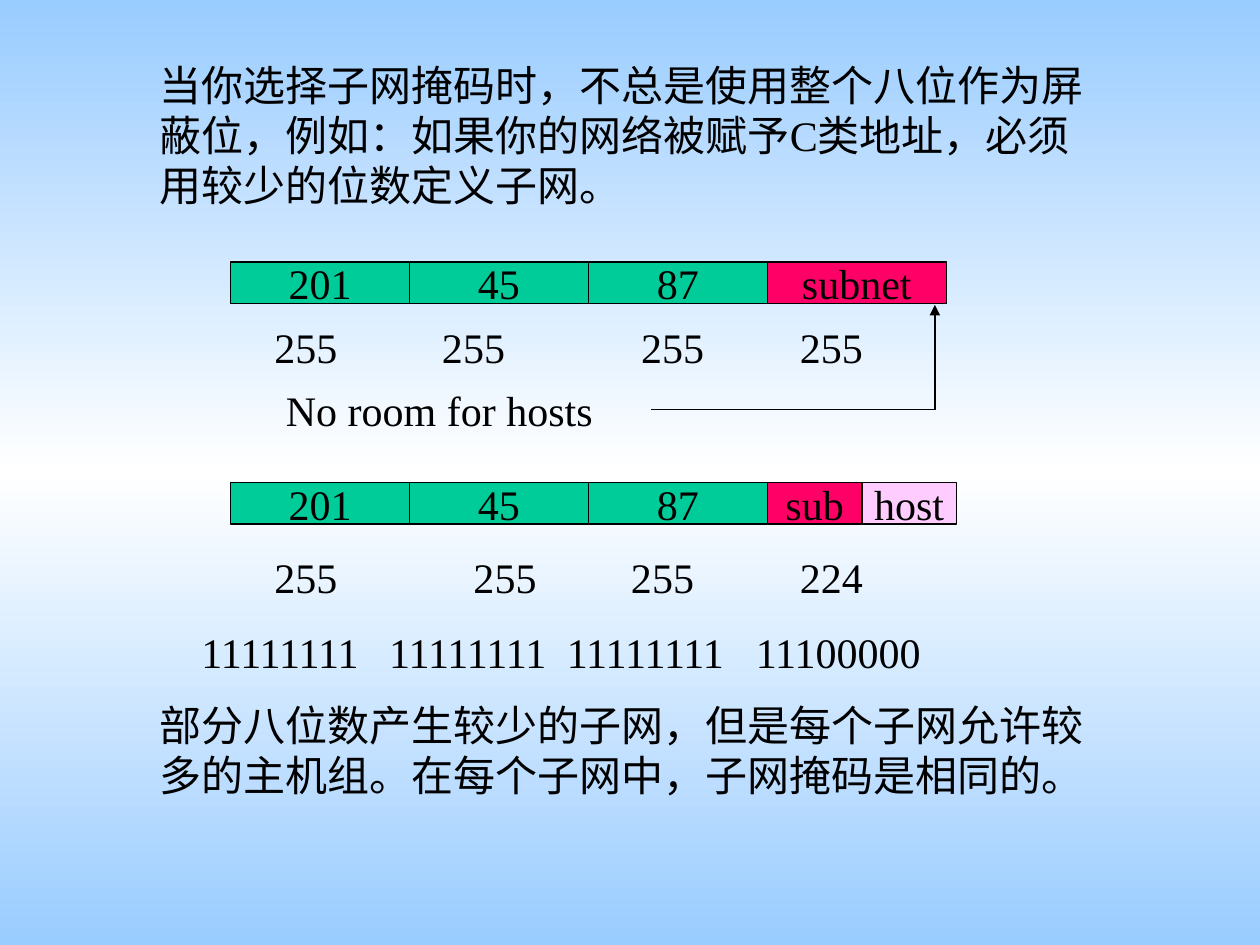
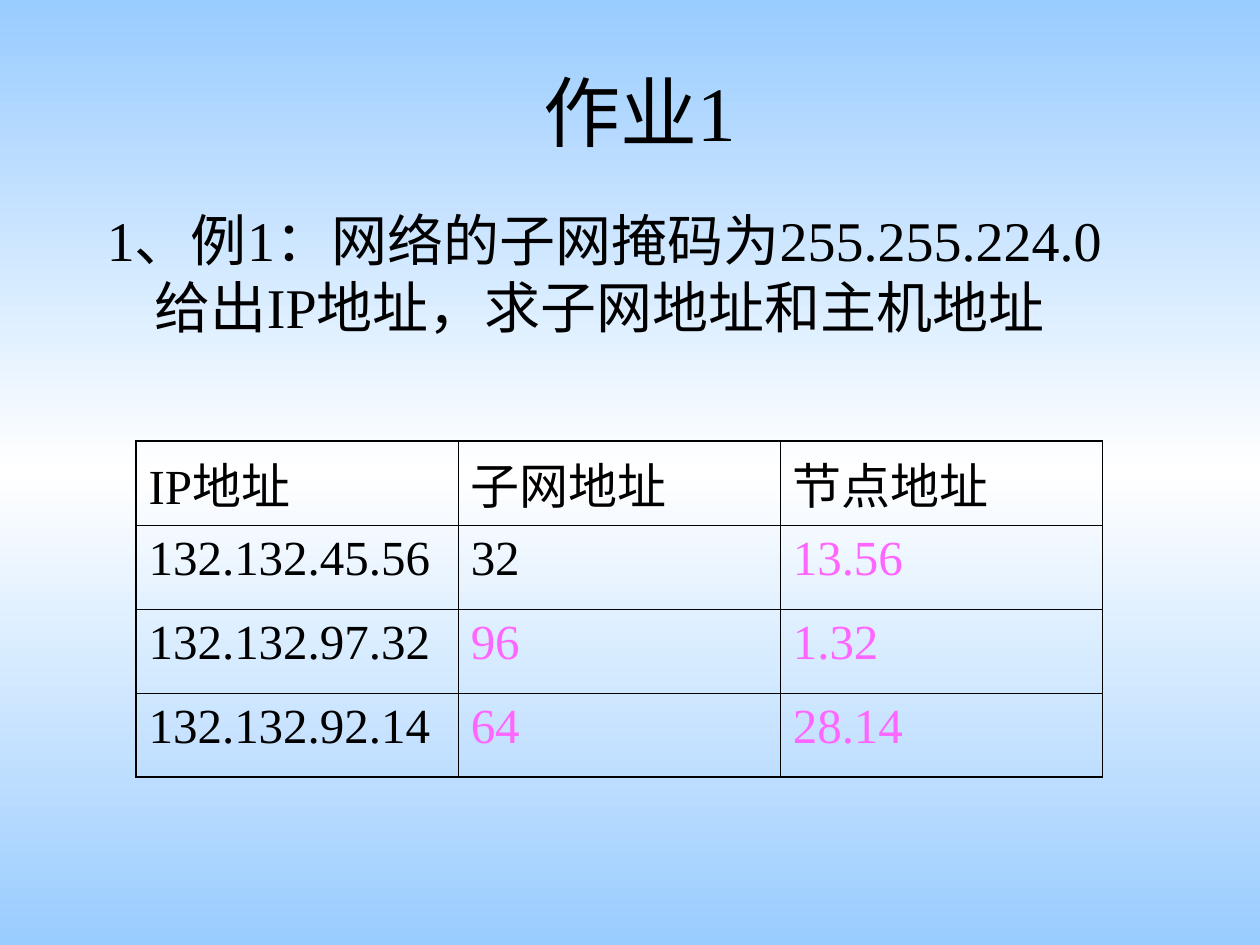
from lxml.etree import SubElement
from pptx import Presentation
from pptx.dml.color import RGBColor
from pptx.enum.shapes import MSO_CONNECTOR, MSO_SHAPE
from pptx.enum.text import MSO_ANCHOR, PP_ALIGN
from pptx.oxml.ns import qn
from pptx.util import Inches, Pt

COLOURS = {
    "ink": "000000",
    "sky": "99CCFF",
    "white": "FFFFFF",
    "network": "00CC99",
    "subnet": "FF0066",
    "host": "FFCCFF",
    "answer": "FF66FF",
}
FONT = "Times New Roman"
OCTET_WIDTH, OCTET_HEIGHT = 1.42, 0.33
PART_WIDTH = 0.75
NETWORK_OCTETS = [(number, "network", OCTET_WIDTH) for number in ("201", "45", "87")]
ADDRESS_LEFT = 1.83


def rgb(name):
    return RGBColor.from_string(COLOURS[name])


def set_all(target, values):
    for attribute, value in values.items():
        setattr(target, attribute, value)


def paint_background(master):
    """Give every slide the vertical sky-white-sky gradient."""
    fill = master.background.fill
    fill.gradient()
    fill.gradient_angle = 270
    stops = master.element.find(".//" + qn("a:gsLst"))
    for stop in list(stops):
        stops.remove(stop)
    for percent, name in ((0, "sky"), (50, "white"), (100, "sky")):
        stop = SubElement(stops, qn("a:gs"), pos=str(percent * 1000))
        SubElement(stop, qn("a:srgbClr"), val=COLOURS[name])


def write(frame, text, size, colour="ink", align=PP_ALIGN.LEFT, before=0):
    paragraph = frame.paragraphs[0]
    set_all(paragraph, {"alignment": align, "space_before": Pt(before)})
    run = paragraph.add_run()
    run.text = text
    set_all(run.font, {"name": FONT, "size": Pt(size)})
    run.font.color.rgb = rgb(colour)
    return paragraph


def add_text(slide, box, text, size=24, anchor=MSO_ANCHOR.TOP, **style):
    frame = slide.shapes.add_textbox(*map(Inches, box)).text_frame
    set_all(frame, {"word_wrap": True, "vertical_anchor": anchor})
    return write(frame, text, size, **style)


def add_mask_row(slide, box, octets, tab_stops):
    """Write the octets on one line, each after the first at a tab stop."""
    paragraph = add_text(slide, box, "\t".join(octets), before=15)
    tabs = SubElement(paragraph._p.get_or_add_pPr(), qn("a:tabLst"))
    for stop in tab_stops:
        SubElement(tabs, qn("a:tab"), pos=str(Inches(stop)), algn="l")


def add_address(slide, top, octets):
    """Lay out the octets of an address as touching rectangles."""
    left = ADDRESS_LEFT
    for text, colour, width in octets:
        octet = slide.shapes.add_shape(
            MSO_SHAPE.RECTANGLE, *map(Inches, (left, top, width, OCTET_HEIGHT)))
        octet.shadow.inherit = False
        octet.fill.solid()
        octet.fill.fore_color.rgb = rgb(colour)
        octet.line.color.rgb = rgb("ink")
        octet.line.width = Pt(0.75)
        set_all(octet.text_frame, {"word_wrap": False, "vertical_anchor": MSO_ANCHOR.MIDDLE})
        write(octet.text_frame, text, 24, align=PP_ALIGN.CENTER)
        left += width


def add_line(slide, start, end, arrow_at_start=False):
    line = slide.shapes.add_connector(
        MSO_CONNECTOR.STRAIGHT, *map(Inches, (*start, *end)))
    line.line.color.rgb = rgb("ink")
    line.line.width = Pt(0.75)
    if arrow_at_start:
        SubElement(line.line._get_or_add_ln(), qn("a:headEnd"), type="triangle")
    SubElement(line._element.spPr, qn("a:effectLst"))


def add_cell_border(cell, outer_sides):
    properties = cell._tc.get_or_add_tcPr()
    for side in "LRTB":
        width = Pt(1.08 if side in outer_sides else 0.45)
        border = SubElement(properties, qn(f"a:ln{side}"), w=str(width))
        fill = SubElement(border, qn("a:solidFill"))
        SubElement(fill, qn("a:srgbClr"), val=COLOURS["ink"])


def add_answer_table(slide, box, rows, answers):
    last_row, last_column = len(rows) - 1, len(rows[0]) - 1
    table = slide.shapes.add_table(
        len(rows), len(rows[0]), *map(Inches, box)).table
    set_all(table, {"first_row": False, "horz_banding": False})
    for r, row in enumerate(rows):
        for c, text in enumerate(row):
            cell = table.cell(r, c)
            edges = {"L": c == 0, "R": c == last_column, "T": r == 0, "B": r == last_row}
            add_cell_border(cell, [side for side, outer in edges.items() if outer])
            cell.fill.background()
            write(cell.text_frame, text, 28, before=7,
                  colour="answer" if text in answers else "ink")


def build_partial_octet_slide(slide):
    add_text(slide, (1.17, 0.42, 7.67, 1.3),
             "当你选择子网掩码时，不总是使用整个八位作为屏蔽位，例如："
             "如果你的网络被赋予C类地址，必须用较少的位数定义子网。", before=15)

    add_address(slide, 2.08, NETWORK_OCTETS + [("subnet", "subnet", OCTET_WIDTH)])
    add_mask_row(slide, (2.08, 2.5, 5.34, 0.5), ["255"] * 4, (1.33, 2.91, 4.17))
    add_text(slide, (2.17, 3, 2.83, 0.5), "No room for hosts", before=15)
    add_line(slide, (5.17, 3.25), (7.42, 3.25))
    add_line(slide, (7.42, 2.42), (7.42, 3.25), arrow_at_start=True)

    add_line(slide, (6.83, 3.83), (6.83, 4.17))
    add_address(slide, 3.83, NETWORK_OCTETS + [
        ("sub", "subnet", PART_WIDTH), ("host", "host", PART_WIDTH)])
    mask = (255, 255, 255, 224)
    add_mask_row(slide, (2.08, 4.33, 5.5, 0.5), map(str, mask), (1.58, 2.83, 4.17))
    add_mask_row(slide, (1.5, 4.92, 6.25, 0.5),
                 [f"{octet:08b}" for octet in mask], (1.49, 2.9, 4.4))

    add_text(slide, (1.17, 5.5, 7.58, 0.9),
             "部分八位数产生较少的子网，但是每个子网允许较多的主机组。"
             "在每个子网中，子网掩码是相同的。", before=15)


def build_homework_slide(slide):
    add_text(slide, (0.83, 0.25, 8.5, 1.25), "作业1", 44,
             anchor=MSO_ANCHOR.MIDDLE, align=PP_ALIGN.CENTER)
    question = add_text(
        slide, (0.75, 1.58, 8.5, 1.33),
        "1、例1：网络的子网掩码为255.255.224.0给出IP地址，求子网地址和主机地址",
        32, before=8)
    hanging = Inches(0.38)
    indents = question._p.get_or_add_pPr()
    indents.set("marL", str(hanging))
    indents.set("indent", str(-hanging))

    add_answer_table(slide, (1.08, 3.5, 7.67, 2.67), [
        ("IP地址", "子网地址", "节点地址"),
        ("132.132.45.56", "32", "13.56"),
        ("132.132.97.32", "96", "1.32"),
        ("132.132.92.14", "64", "28.14"),
    ], answers={"13.56", "96", "1.32", "64", "28.14"})


def main():
    deck = Presentation()
    set_all(deck, {"slide_width": Inches(10), "slide_height": Inches(7.5)})
    paint_background(deck.slide_master)
    blank = deck.slide_layouts[6]
    for build in (build_partial_octet_slide, build_homework_slide):
        build(deck.slides.add_slide(blank))
    deck.save("out.pptx")


if __name__ == "__main__":
    main()
